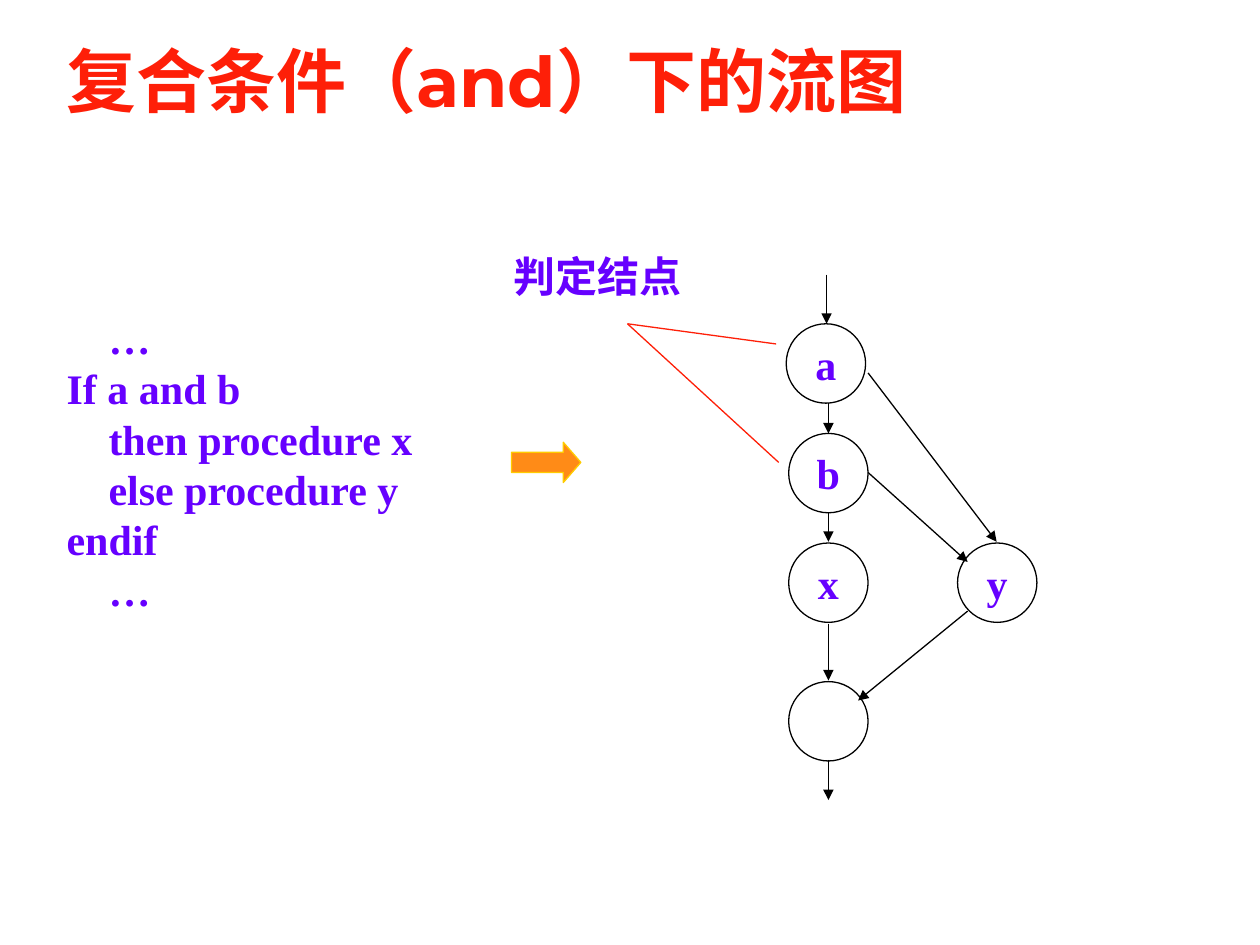
import pptx
import pptx.util
import pptx.dml.color
import pptx.enum.shapes
import pptx.enum.text
import pptx.oxml
import pptx.oxml.ns
from dataclasses import dataclass

SHAPE = pptx.enum.shapes.MSO_SHAPE
ALIGN = pptx.enum.text.PP_ALIGN
ANCHOR = pptx.enum.text.MSO_ANCHOR


@dataclass
class Theme:
    red: str = "FE1F08"
    violet: str = "6600FF"
    black: str = "000000"
    orange: str = "FF8B17"
    gold: str = "FFCC00"
    title_font: str = "Montserrat"
    body_font: str = "Times New Roman"
    title_size: int = 40
    body_size: int = 24
    line: float = 0.75


def rgb(value):
    return pptx.dml.color.RGBColor.from_string(value)


def write(tf, text, *, font, size, color, align=ALIGN.LEFT,
          anchor=ANCHOR.TOP, wrap=True, spacing=None):
    """Fill a text frame: one paragraph per line, \\v for a line break."""
    tf.word_wrap = wrap
    tf.vertical_anchor = anchor
    tf.text = text
    for p in tf.paragraphs:
        p.alignment = align
        p.line_spacing = spacing
        for r in p.runs:
            r.font.name = font
            r.font.size = pptx.util.Pt(size)
            r.font.bold = True
            r.font.color.rgb = rgb(color)


class Deck:
    """Slide on a grid of 100 columns by 75 rows."""

    def __init__(self, theme):
        self.theme = theme
        self.prs = pptx.Presentation()
        self.prs.slide_width = pptx.util.Inches(10)
        self.prs.slide_height = pptx.util.Inches(7.5)
        self.s = self.prs.slides.add_slide(self.prs.slide_layouts[6])

    def grid(self, *cells):
        """Alternating columns and rows to lengths."""
        units = (self.prs.slide_width / 100, self.prs.slide_height / 75)
        return [round(c * units[i % 2]) for i, c in enumerate(cells)]

    def body(self, **extra):
        t = self.theme
        return dict(font=t.body_font, size=t.body_size, color=t.violet) | extra

    def text(self, box, text, **fmt):
        sp = self.s.shapes.add_textbox(*self.grid(*box))
        write(sp.text_frame, text, **fmt)

    def shape(self, kind, box, line, fill=None):
        sp = self.s.shapes.add_shape(kind, *self.grid(*box))
        sp.shadow.inherit = False
        if fill:
            sp.fill.solid()
            sp.fill.fore_color.rgb = rgb(fill)
        else:
            sp.fill.background()
        sp.line.color.rgb = rgb(line)
        sp.line.width = pptx.util.Pt(self.theme.line)
        return sp

    def node(self, col, row, label, size=6.3):
        sp = self.shape(SHAPE.OVAL, (col, row, size, size), self.theme.black)
        if label:
            write(sp.text_frame, label, **self.body(
                align=ALIGN.CENTER, anchor=ANCHOR.MIDDLE, wrap=False))

    def line(self, start, end, color, arrow=False):
        c = self.s.shapes.add_connector(
            pptx.enum.shapes.MSO_CONNECTOR.STRAIGHT, *self.grid(*start, *end))
        c.line.color.rgb = rgb(color)
        c.line.width = pptx.util.Pt(self.theme.line)
        if arrow:
            ln = c.line._get_or_add_ln()
            ln.append(pptx.oxml.parse_xml(
                f'<a:tailEnd {pptx.oxml.ns.nsdecls("a")} type="triangle"/>'))
        c._element.spPr.append(pptx.oxml.parse_xml(
            f'<a:effectLst {pptx.oxml.ns.nsdecls("a")}/>'))


def main():
    t = Theme()
    d = Deck(t)

    # Title
    d.text((4.3, 2.8, 90.6, 7.1), "复合条件（and）下的流图", font=t.title_font,
           size=t.title_size, color=t.red, anchor=ANCHOR.MIDDLE)

    # Pseudocode
    code = ("    …\nIf a and b \v    then procedure x\n"
            "    else procedure y\nendif\n    …")
    d.text((4.3, 24.3, 31.5, 25), code,
           **d.body(spacing=pptx.util.Pt(28.8)))

    # Label with pointers to both decision nodes
    d.text((39.8, 19.4, 15.3, 5), "判定结点",
           **d.body(align=ALIGN.CENTER, wrap=False))
    for end in ((61.6, 27.3), (61.8, 36.7)):
        d.line((49.8, 25.7), end, t.red)

    # Block arrow from code to graph
    sp = d.shape(SHAPE.RIGHT_ARROW, (40.6, 35.1, 5.5, 3.2), t.gold, t.orange)
    sp.adjustments[0], sp.adjustments[1] = 0.5, 0.435

    # Flow graph nodes
    for col, row, label in ((62.4, 25.7, "a"), (62.6, 34.4, "b"),
                            (62.6, 43.1, "x"), (76, 43.1, "y"),
                            (62.6, 54.1, "")):
        d.node(col, row, label)

    # Flow down the main column: column, start row, end row
    for col, top, bottom in ((65.6, 21.8, 25.7), (65.75, 32, 34.4),
                             (65.75, 40.7, 43), (65.75, 49.5, 54),
                             (65.75, 60.3, 63.5)):
        d.line((col, top), (col, bottom), t.black, arrow=True)

    # Branches to and from y
    for start, end in (((68.9, 29.6), (79.1, 43)),
                       ((68.9, 37.5), (76.8, 44.6)),
                       ((76.8, 48.5), (68.1, 55.6))):
        d.line(start, end, t.black, arrow=True)

    d.prs.save("out.pptx")


if __name__ == "__main__":
    main()
